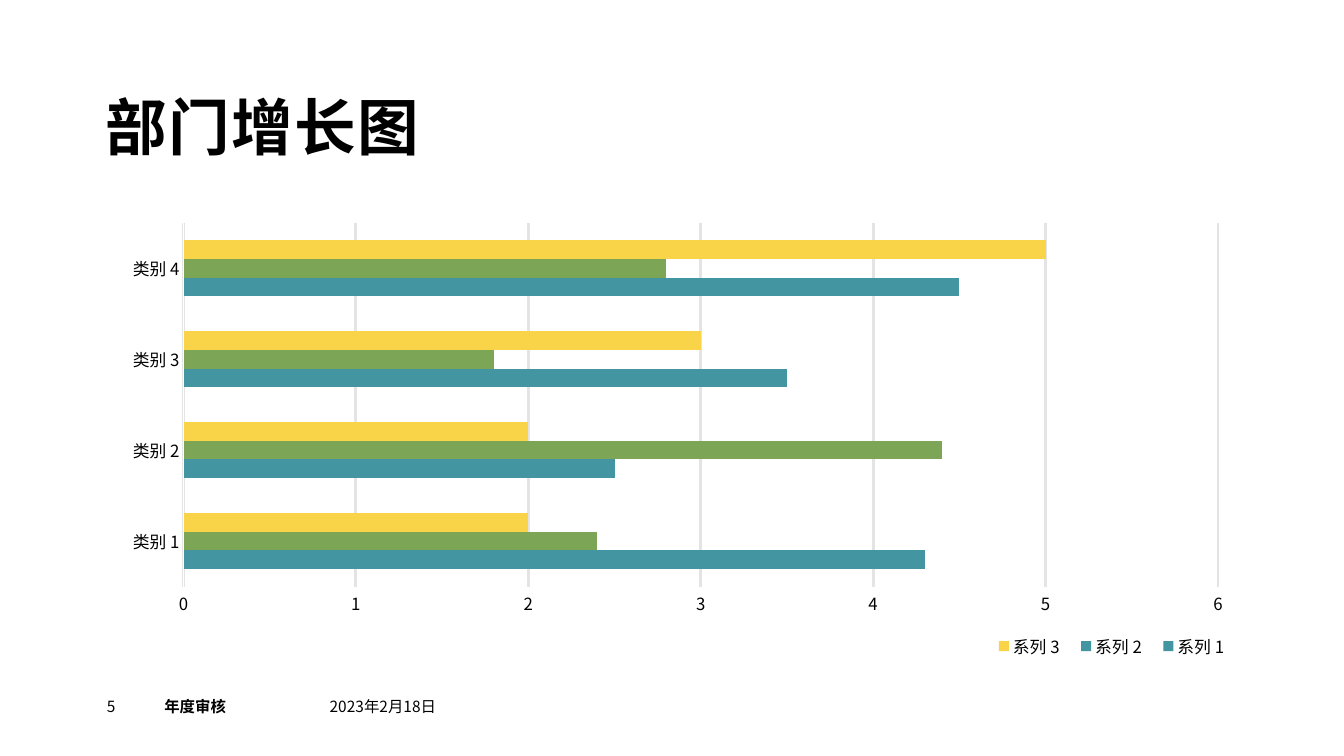
from dataclasses import dataclass

from lxml.etree import SubElement
from pptx import Presentation
from pptx.chart.chart import Chart
from pptx.chart.data import CategoryChartData
from pptx.dml.color import RGBColor
from pptx.enum.chart import XL_CHART_TYPE as ChartType
from pptx.enum.chart import XL_LEGEND_POSITION as LegendPosition
from pptx.enum.chart import XL_TICK_MARK as TickMark
from pptx.enum.text import MSO_ANCHOR as Anchor
from pptx.enum.text import PP_ALIGN as Align
from pptx.oxml.ns import qn
from pptx.slide import Slide
from pptx.text.text import Font, TextFrame
from pptx.util import Inches, Pt

BLACK = RGBColor(0x00, 0x00, 0x00)
WHITE = RGBColor(0xFF, 0xFF, 0xFF)
GRID_GRAY = RGBColor(0xE4, 0xE4, 0xE4)
TEAL = RGBColor(0x44, 0x95, 0xA2)
GREEN = RGBColor(0x7C, 0xA6, 0x55)
YELLOW = RGBColor(0xF9, 0xD4, 0x48)

TITLE_FONT = "Karla"
BODY_FONT = "Noto Sans CJK SC"


@dataclass(frozen=True)
class Box:
    left: float
    top: float
    width: float
    height: float

    def emu(self) -> tuple[Inches, Inches, Inches, Inches]:
        return (Inches(self.left), Inches(self.top),
                Inches(self.width), Inches(self.height))


@dataclass(frozen=True)
class GrowthSeries:
    name: str
    values: tuple[float, ...]
    legend_color: RGBColor
    bar_color: RGBColor


@dataclass(frozen=True)
class FooterItem:
    text: str
    left: float
    width: float
    bold: bool = False


TITLE_BOX = Box(1.05, 0.96, 8.84, 0.67)
CHART_BOX = Box(1.04, 2.12, 11.32, 4.5)
PLOT_BOX = Box(1.82, 2.21, 10.26, 3.61)
LEGEND_BOX = Box(9.75, 6.25, 2.55, 0.32)
FOOTER_TOP, FOOTER_HEIGHT = 6.92, 0.27

CATEGORIES = [f"类别 {number}" for number in range(1, 5)]
GROWTH = [
    GrowthSeries("系列 1", (4.3, 2.5, 3.5, 4.5), TEAL, TEAL),
    GrowthSeries("系列 2", (2.4, 4.4, 1.8, 2.8), TEAL, GREEN),
    GrowthSeries("系列 3", (2, 2, 3, 5), YELLOW, YELLOW),
]
FOOTER = [
    FooterItem("5", 1.06, 0.57),
    FooterItem("年度审核", 1.63, 1.64, bold=True),
    FooterItem("2023年2月18日", 3.27, 1.44),
]


def style_font(font: Font, name: str, size: float, bold: bool = False) -> None:
    font.name = name
    font.size = Pt(size)
    font.bold = bold
    font.color.rgb = BLACK


def prepare_frame(frame: TextFrame, anchor: Anchor) -> None:
    frame.word_wrap = True
    frame.vertical_anchor = anchor
    frame.margin_left = frame.margin_top = 0
    frame.margin_right = frame.margin_bottom = 0


def add_title(slide: Slide, text: str) -> None:
    title = slide.shapes.title
    title.left, title.top, title.width, title.height = TITLE_BOX.emu()
    prepare_frame(title.text_frame, Anchor.BOTTOM)
    paragraph = title.text_frame.paragraphs[0]
    paragraph.alignment = Align.LEFT
    paragraph.line_spacing = 0.9
    run = paragraph.add_run()
    run.text = text
    style_font(run.font, TITLE_FONT, 44, bold=True)
    run._r.get_or_add_rPr().set("spc", "100")


def add_footer_item(slide: Slide, item: FooterItem) -> None:
    box = Box(item.left, FOOTER_TOP, item.width, FOOTER_HEIGHT)
    frame = slide.shapes.add_textbox(*box.emu()).text_frame
    prepare_frame(frame, Anchor.TOP)
    run = frame.paragraphs[0].add_run()
    run.text = item.text
    style_font(run.font, BODY_FONT, 11, item.bold)


def manual_layout(parent, box: Box, inner: bool = False) -> None:
    """Fix a chart part at a box given in slide inches."""
    layout = parent.find(qn("c:layout"))
    if layout is None:
        layout = SubElement(parent, qn("c:layout"))
        parent.remove(layout)
        position = 1 if parent.find(qn("c:legendPos")) is not None else 0
        parent.insert(position, layout)
    for child in list(layout):
        layout.remove(child)
    manual = SubElement(layout, qn("c:manualLayout"))
    settings = {"layoutTarget": "inner"} if inner else {}
    settings |= {
        "xMode": "edge",
        "yMode": "edge",
        "x": f"{(box.left - CHART_BOX.left) / CHART_BOX.width:.4f}",
        "y": f"{(box.top - CHART_BOX.top) / CHART_BOX.height:.4f}",
        "w": f"{box.width / CHART_BOX.width:.4f}",
        "h": f"{box.height / CHART_BOX.height:.4f}",
    }
    for tag, value in settings.items():
        SubElement(manual, qn(f"c:{tag}")).set("val", value)


def style_axes(chart: Chart) -> None:
    for axis in (chart.category_axis, chart.value_axis):
        axis.major_tick_mark = axis.minor_tick_mark = TickMark.NONE
        style_font(axis.tick_labels.font, BODY_FONT, 12)
    category_line = chart.category_axis.format.line
    category_line.color.rgb = WHITE
    category_line.width = Pt(0.75)

    values = chart.value_axis
    values.minimum_scale, values.maximum_scale, values.major_unit = 0, 6, 1
    values.tick_labels.number_format = "General"
    values.tick_labels.number_format_is_linked = False
    values.format.line.fill.background()
    values.has_major_gridlines = True
    values.major_gridlines.format.line.color.rgb = GRID_GRAY
    values.major_gridlines.format.line.width = Pt(2)


def color_bars(chart: Chart) -> None:
    for bars, growth in zip(chart.plots[0].series, GROWTH):
        bars.format.fill.solid()
        bars.format.fill.fore_color.rgb = growth.legend_color
        if growth.bar_color == growth.legend_color:
            continue
        for index in range(len(growth.values)):
            fill = bars.points[index].format.fill
            fill.solid()
            fill.fore_color.rgb = growth.bar_color


def add_growth_chart(slide: Slide) -> None:
    data = CategoryChartData()
    data.categories = CATEGORIES
    for growth in GROWTH:
        data.add_series(growth.name, growth.values)
    chart = slide.shapes.add_chart(
        ChartType.BAR_CLUSTERED, *CHART_BOX.emu(), data).chart
    chart.has_title = False
    style_font(chart.font, BODY_FONT, 10)
    plot = chart.plots[0]
    plot.gap_width = 182
    plot.overlap = 0
    plot.vary_by_categories = False
    style_axes(chart)
    color_bars(chart)

    chart.has_legend = True
    chart.legend.position = LegendPosition.BOTTOM
    chart.legend.include_in_layout = False
    style_font(chart.legend.font, BODY_FONT, 12)
    plot_area = chart._chartSpace.chart.plotArea
    manual_layout(plot_area, PLOT_BOX, inner=True)
    manual_layout(chart.legend._element, LEGEND_BOX)


def main() -> None:
    deck = Presentation()
    deck.slide_width, deck.slide_height = Inches(13.33), Inches(7.5)
    slide = deck.slides.add_slide(deck.slide_layouts[5])
    add_title(slide, "部门增长图")
    add_growth_chart(slide)
    for item in FOOTER:
        add_footer_item(slide, item)
    deck.save("out.pptx")


if __name__ == "__main__":
    main()
